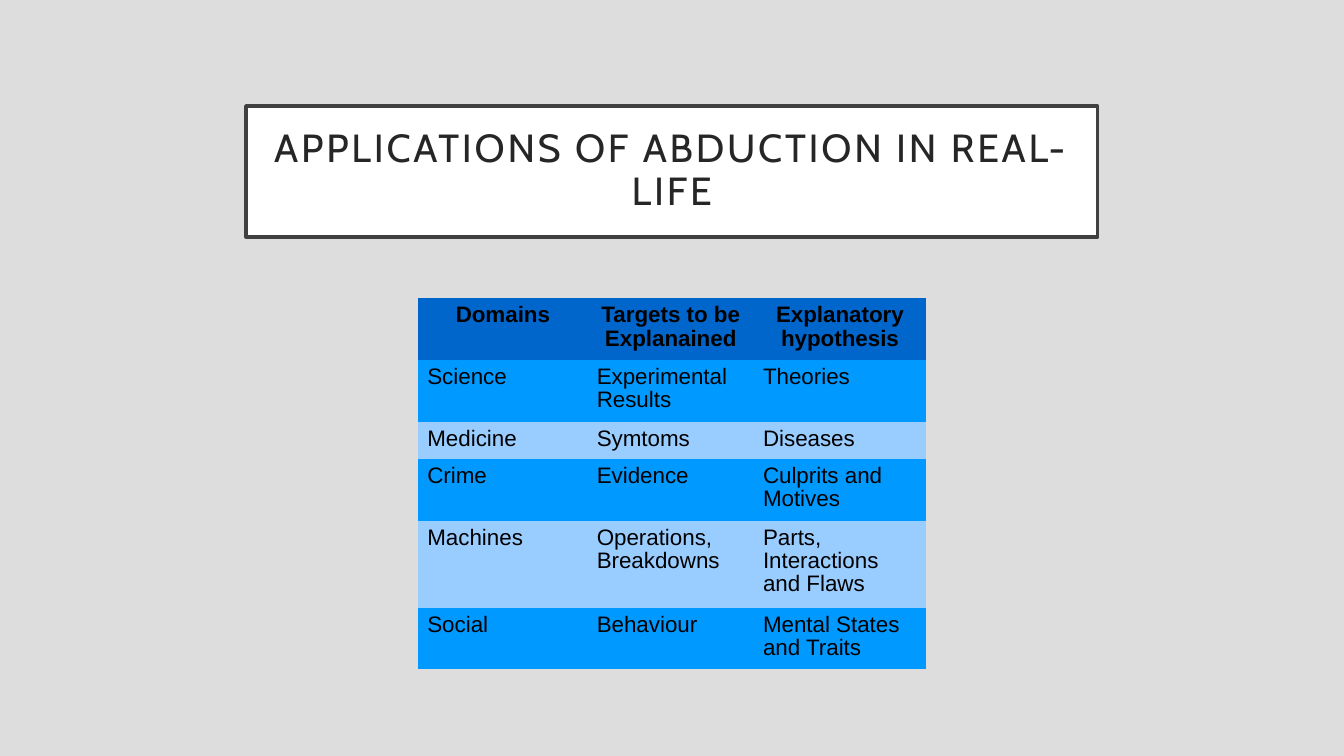
from pptx import Presentation
from pptx.dml.color import RGBColor
from pptx.enum import shapes, text
from pptx.util import Cm, Pt

GREY = RGBColor(0xDD, 0xDD, 0xDD)
WHITE = RGBColor(0xFF, 0xFF, 0xFF)
FRAME = RGBColor(0x40, 0x40, 0x40)
INK = RGBColor(0x26, 0x26, 0x26)
BLACK = RGBColor(0, 0, 0)
HEAD = RGBColor(0x00, 0x66, 0xCC)
BANDS = (RGBColor(0x00, 0x99, 0xFF), RGBColor(0x99, 0xCC, 0xFF))
PLAIN = "{2D5ABB26-0587-4C30-8999-92F81FD0307C}"  # no style, no grid

ROWS = (
    ("Domains", "Targets to be Explanained", "Explanatory hypothesis"),
    ("Science", "Experimental Results", "Theories"),
    ("Medicine", "Symtoms", "Diseases"),
    ("Crime", "Evidence", "Culprits and Motives"),
    ("Machines", "Operations, Breakdowns", "Parts, Interactions and Flaws"),
    ("Social", "Behaviour", "Mental States and Traits"),
)
WIDTHS = (4.27, 4.19, 4.34)
HEIGHTS = (1.56, 1.56, 0.93, 1.56, 2.19, 1.56)


def style(para, face, size, color, gap, bold=False):
    para.line_spacing = gap
    font = para.font
    font.name, font.size, font.bold = face, Pt(size), bold
    font.color.rgb = color


def add_title(slide, words, x, y, w, h):
    box = slide.shapes.add_shape(
        shapes.MSO_SHAPE.RECTANGLE, Cm(x), Cm(y), Cm(w), Cm(h))
    box.shadow.inherit = False
    box.fill.solid()
    box.fill.fore_color.rgb = WHITE
    box.line.color.rgb = FRAME
    box.line.width = Pt(2.5)
    frame = box.text_frame
    frame.word_wrap = True
    frame.vertical_anchor = text.MSO_ANCHOR.MIDDLE
    frame.margin_left = frame.margin_right = Cm(0.5)
    frame.margin_top = frame.margin_bottom = Cm(0.5)
    para = frame.paragraphs[0]
    para.alignment = text.PP_ALIGN.CENTER
    run = para.add_run()
    run.text = words
    style(para, "Cabin", 28, INK, 0.9)
    # Letter spacing of 2 pt
    run._r.get_or_add_rPr().set("spc", "200")


def fill_cell(cell, words, color, head):
    cell.fill.solid()
    cell.fill.fore_color.rgb = color
    cell.margin_left = cell.margin_right = Cm(0.23)
    cell.margin_top, cell.margin_bottom = Cm(0.16), Cm(0.13)
    cell.text = words
    para = cell.text_frame.paragraphs[0]
    para.alignment = text.PP_ALIGN.CENTER if head else text.PP_ALIGN.LEFT
    style(para, "Arial", 16, BLACK, 0.93, head)


def add_grid(slide, x, y):
    item = slide.shapes.add_table(
        len(ROWS), len(WIDTHS), Cm(x), Cm(y), Cm(sum(WIDTHS)), Cm(sum(HEIGHTS)))
    grid = item.table
    grid._tbl.tblPr[0].text = PLAIN
    for col, width in zip(grid.columns, WIDTHS):
        col.width = Cm(width)
    for i, (row, height) in enumerate(zip(grid.rows, HEIGHTS)):
        row.height = Cm(height)
        color = BANDS[(i - 1) % 2] if i else HEAD
        for cell, words in zip(row.cells, ROWS[i]):
            fill_cell(cell, words, color, i == 0)


def main():
    deck = Presentation()
    deck.slide_width, deck.slide_height = Cm(33.87), Cm(19.05)
    slide = deck.slides.add_slide(deck.slide_layouts[6])
    slide.background.fill.solid()
    slide.background.fill.fore_color.rgb = GREY
    # Framed title
    add_title(slide, "APPLICATIONS OF ABDUCTION IN REAL-LIFE", 6.2, 2.67, 21.46, 3.3)
    # Table of domains
    add_grid(slide, 10.54, 7.51)
    deck.save("out.pptx")


if __name__ == "__main__":
    main()
